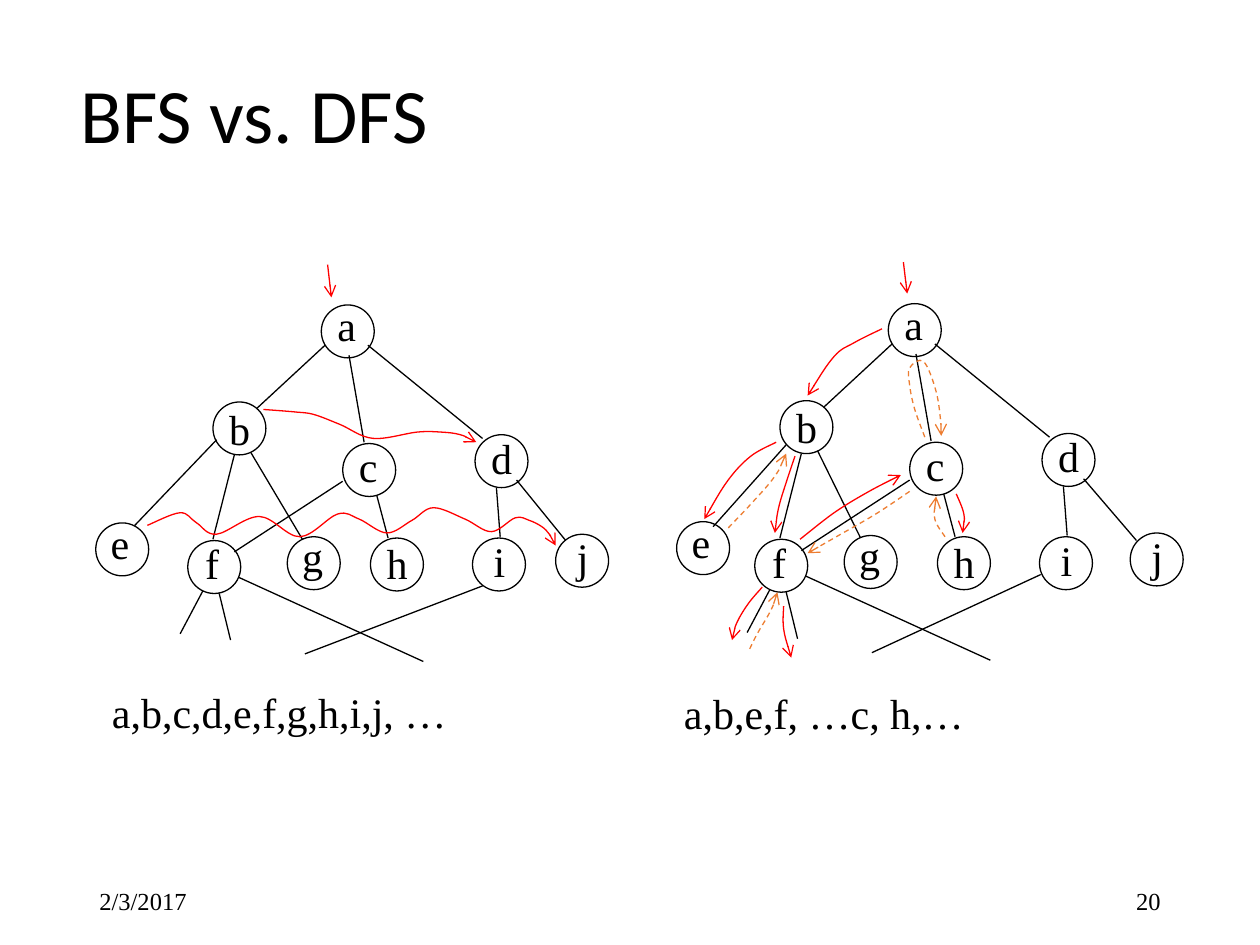
from dataclasses import dataclass
from lxml.etree import SubElement
from pptx import Presentation
from pptx.dml.color import RGBColor
from pptx.enum.dml import MSO_LINE
from pptx.enum.shapes import MSO_CONNECTOR, MSO_SHAPE
from pptx.enum.text import MSO_ANCHOR, MSO_AUTO_SIZE, PP_ALIGN
from pptx.oxml.ns import qn
from pptx.util import Inches, Pt


@dataclass(frozen=True)
class Theme:
    ink: str = "000000"
    go: str = "FF0000"
    back: str = "ED7D31"
    head: str = "Calibri"
    body: str = "Times New Roman"
    title: int = 44
    label: int = 24
    foot: int = 14
    line: float = 0.75
    node: float = 0.42


T = Theme()

NODES = {
    "a": (2.05, 0.42, 0.03, -0.09),
    "b": (1.19, 1.19, 0.03, -0.04),
    "c": (2.22, 1.52, 0.03, -0.07),
    "d": (3.27, 1.45, 0.03, -0.07),
    "e": (0.26, 2.15, 0.02, -0.09),
    "f": (0.99, 2.29, 0.04, -0.07),
    "g": (1.78, 2.26, 0.02, -0.10),
    "h": (2.44, 2.27, 0.03, -0.05),
    "i": (3.25, 2.27, 0.07, -0.07),
    "j": (3.91, 2.24, 0.07, -0.07),
}
EDGES = {
    "ab": (2.08, 0.74, 1.54, 1.24),
    "ac": (2.27, 0.82, 2.39, 1.51),
    "ad": (2.42, 0.74, 3.33, 1.48),
    "be": (1.22, 1.49, 0.57, 2.17),
    "bf": (1.36, 1.61, 1.19, 2.28),
    "bg": (1.49, 1.59, 1.90, 2.28),
    "fc": (1.36, 2.38, 2.22, 1.82),
    "ch": (2.49, 1.93, 2.58, 2.27),
    "di": (3.44, 1.87, 3.47, 2.26),
    "dj": (3.60, 1.81, 3.99, 2.29),
    "f left": (1.11, 2.69, 0.93, 3.03),
    "f mid": (1.24, 2.71, 1.33, 3.08),
    "f right": (1.39, 2.58, 2.86, 3.25),
    "i left": (3.33, 2.65, 1.92, 3.19),
}
SHIFTS = {"e": 0.11, "g": -0.08, "j": 0.06}
BENDS = {
    "be": (1.24, 1.54, 0.66, 2.19),
    "bg": (1.49, 1.59, 1.83, 2.28),
    "dj": (3.60, 1.81, 4.02, 2.30),
    "i left": (3.26, 2.57, 1.92, 3.19),
}
LEVELS = [
    [(1.59, 1.25), (1.84, 1.27), (1.99, 1.29), (2.2, 1.37), (2.46, 1.48),
     (2.81, 1.43), (3, 1.43), (3.15, 1.45), (3.28, 1.51)],
    [(0.67, 2.17), (0.93, 2.07), (1.06, 2.15), (1.22, 2.24), (1.56, 2.1),
     (1.88, 2.26), (2.18, 2.08), (2.35, 2.12), (2.57, 2.23), (2.77, 2.13),
     (2.94, 2.03), (3.19, 2.12), (3.4, 2.22), (3.59, 2.11), (3.7, 2.13),
     (3.8, 2.18), (3.86, 2.24), (3.91, 2.33)],
]
DOWN = [
    [(2, 0.62), (1.78, 0.73), (1.62, 0.84), (1.41, 1.15)],
    [(1.16, 1.52), (0.96, 1.63), (0.78, 1.82), (0.59, 2.13)],
    [(1.31, 1.63), (1.24, 1.84), (1.18, 2.04), (1.15, 2.24)],
    [(1.05, 2.67), (0.94, 2.8), (0.85, 2.95), (0.81, 3.09)],
    [(1.22, 2.82), (1.22, 3), (1.28, 3.23)],
    [(1.35, 2.29), (1.62, 2.08), (1.88, 1.92), (2.15, 1.78)],
    [(2.59, 1.93), (2.65, 2.09), (2.64, 2.24)],
]
BACK = [
    [(0.78, 2.2), (0.97, 2), (1.15, 1.79), (1.24, 1.61)],
    [(0.95, 3.16), (1.01, 3.04), (1.12, 2.85), (1.17, 2.71)],
    [(2.22, 1.91), (1.95, 2.09), (1.62, 2.28), (1.41, 2.4)],
    [(2.5, 2.27), (2.42, 2.13), (2.43, 1.95)],
    [(2.34, 1.48), (2.26, 1.26), (2.22, 1.07), (2.22, 0.93),
     (2.33, 0.88), (2.43, 1.12), (2.47, 1.4), (2.47, 1.47)],
]


def write(slide, text, x, y, w, h, size=T.label, font=T.body, align=PP_ALIGN.LEFT,
          anchor=MSO_ANCHOR.MIDDLE, space=1.0, grow=False):
    box = slide.shapes.add_textbox(Inches(x), Inches(y), Inches(w), Inches(h))
    frame = box.text_frame
    frame.word_wrap = True
    frame.vertical_anchor = anchor
    frame.auto_size = MSO_AUTO_SIZE.SHAPE_TO_FIT_TEXT if grow else MSO_AUTO_SIZE.NONE
    para = frame.paragraphs[0]
    para.text = text
    para.alignment = align
    para.line_spacing = space
    para.font.size = Pt(size)
    para.font.name = font
    para.font.color.rgb = RGBColor.from_string(T.ink)


def label(slide, text, x, y, w):
    write(slide, text, x, y, w, 0.5, anchor=MSO_ANCHOR.TOP, grow=True)


def stroke(shape, color, dash=False, arrow=False):
    shape.line.color.rgb = RGBColor.from_string(color)
    shape.line.width = Pt(T.line)
    if dash:
        shape.line.dash_style = MSO_LINE.DASH
    if arrow:
        SubElement(shape.line._get_or_add_ln(), qn("a:tailEnd"), type="arrow")


def link(slide, x, y, ends, color=T.ink, arrow=False):
    x1, y1, x2, y2 = ends
    line = slide.shapes.add_connector(
        MSO_CONNECTOR.STRAIGHT, Inches(x + x1), Inches(y + y1), Inches(x + x2), Inches(y + y2))
    stroke(line, color, arrow=arrow)
    SubElement(line._element.spPr, qn("a:effectLst"))


def lean(base, start, end):
    return tuple(b + (e - s) / 6 for b, s, e in zip(base, start, end))


def smooth(knots):
    pad = [knots[0], *knots, knots[-1]]
    dots = [knots[0]]
    for p, q, r, s in zip(pad, pad[1:], pad[2:], pad[3:]):
        dots += [lean(q, p, r), lean(r, s, q), r]
    return dots


def bend(shape):
    lines = list(shape._element.iter(qn("a:lnTo")))
    for trio in zip(lines[::3], lines[1::3], lines[2::3]):
        cubic = SubElement(trio[0].getparent(), qn("a:cubicBezTo"))
        for line in trio:
            cubic.append(line[0])
            line.getparent().remove(line)


def curve(slide, x, y, knots, color, dash=False):
    dots = [(Inches(x + px), Inches(y + py)) for px, py in smooth(knots)]
    form = slide.shapes.build_freeform(*dots[0])
    form.add_line_segments(dots[1:], close=False)
    shape = form.convert_to_shape()
    bend(shape)
    shape.fill.background()
    shape.shadow.inherit = False
    stroke(shape, color, dash, arrow=True)


def tree(slide, x, y, shifts, bends):
    for ends in {**EDGES, **bends}.values():
        link(slide, x, y, ends)
    for name, (left, top, dx, dy) in NODES.items():
        nx, ny = x + left + shifts.get(name, 0), y + top
        node = slide.shapes.add_shape(
            MSO_SHAPE.OVAL, Inches(nx), Inches(ny), Inches(T.node), Inches(T.node))
        node.fill.background()
        node.shadow.inherit = False
        stroke(node, T.ink)
        label(slide, name, nx + dx, ny + dy, 0.43)


def breadth(slide, x, y):
    tree(slide, x, y, {}, {})
    for knots in LEVELS:
        curve(slide, x, y, knots, T.go)
    link(slide, x, y, (2.1, 0.1, 2.13, 0.36), T.go, arrow=True)
    label(slide, "a,b,c,d,e,f,g,h,i,j, …", x + 0.29, y + 3.4, 3.92)


def depth(slide, x, y):
    tree(slide, x, y, SHIFTS, BENDS)
    for knots in DOWN:
        curve(slide, x, y, knots, T.go)
    for knots in BACK:
        curve(slide, x, y, knots, T.back, dash=True)
    link(slide, x, y, (2.17, 0.09, 2.2, 0.34), T.go, arrow=True)
    label(slide, "a,b,e,f, …c, h,…", x + 0.33, y + 3.42, 3.68)


def footer(slide, x, y, w):
    side = 2.25
    write(slide, "2/3/2017", x, y, side, 0.4, size=T.foot)
    write(slide, "20", x + w - side, y, side, 0.4, size=T.foot, align=PP_ALIGN.RIGHT)


def main():
    deck = Presentation()
    deck.slide_width, deck.slide_height = Inches(10), Inches(7.5)
    slide = deck.slides.add_slide(deck.slide_layouts[6])
    write(slide, "BFS vs. DFS", 0.54, 0.44, 8.5, 1, size=T.title, font=T.head, space=0.9)
    breadth(slide, 0.5, 2)
    depth(slide, 5, 1.99)
    footer(slide, 0.69, 6.95, 8.62)
    deck.save("out.pptx")


if __name__ == "__main__":
    main()
